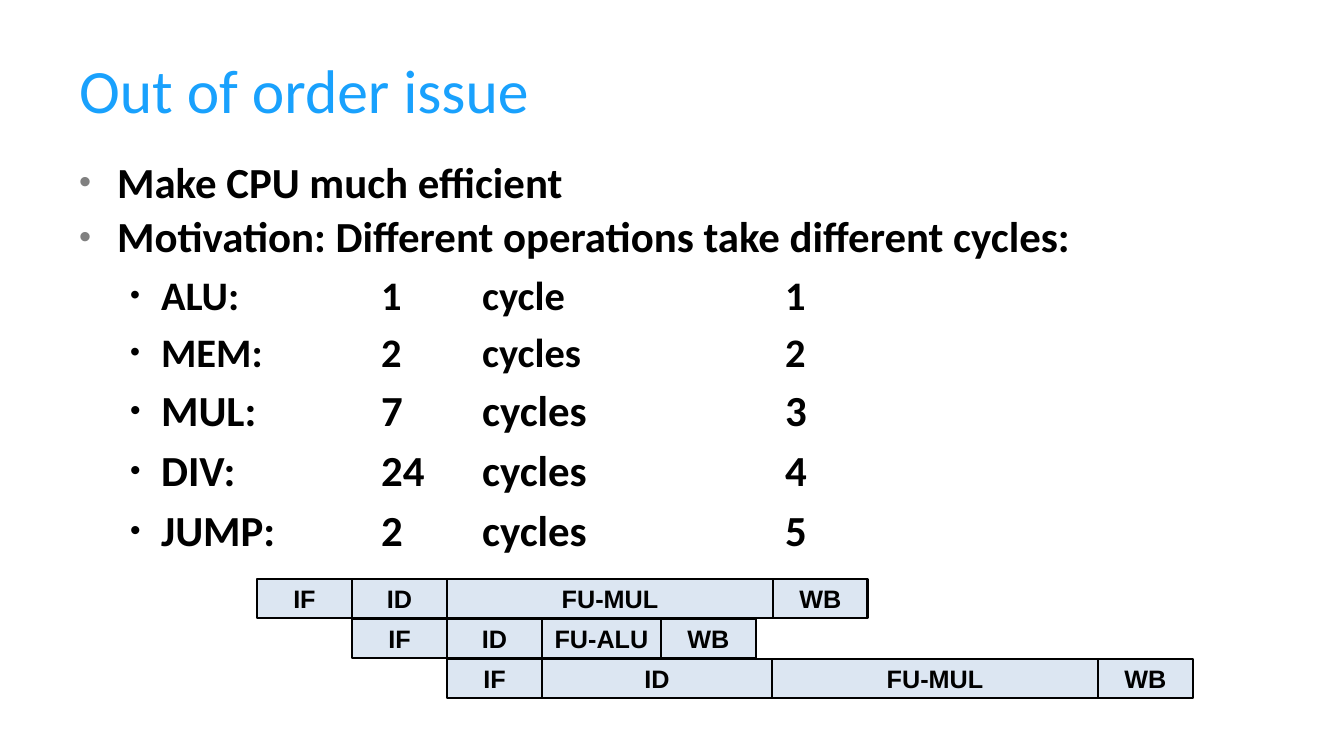
from lxml.etree import SubElement as Sub
from pptx import Presentation
from pptx.dml.color import RGBColor as RGB
from pptx.enum.shapes import MSO_SHAPE as Shape
from pptx.enum.text import MSO_ANCHOR as Anchor, MSO_AUTO_SIZE as Fit, PP_ALIGN as Align
from pptx.oxml.ns import qn
from pptx.util import Pt

PX = 914400 / 100.8
THEME = {
    "title": {"name": "Calibri", "size": Pt(44), "bold": False, "color": "19A1FD"},
    "list": {"name": "Calibri", "size": Pt(30.6), "bold": True, "color": "000000"},
    "small": {"name": "Calibri", "size": Pt(28.9), "bold": True, "color": "000000"},
    "stage": {"name": "Arial", "size": Pt(18), "bold": True, "color": "000000"},
    "fill": "DCE6F2",
    "line": "000000",
    "dots": ("808080", "000000"),
}
STOPS = (302, 403, 706)


def style(para, kind):
    """Apply one of the theme's type styles to a paragraph."""
    for key, val in THEME[kind].items():
        if key == "color":
            para.font.color.rgb = RGB.from_string(val)
        else:
            setattr(para.font, key, val)


def bullet(para, indent, hang, size, color):
    """Set a round bullet; indent and hang are in px, size in percent."""
    props = para._p.get_or_add_pPr()
    props.set("marL", str(round(indent * PX)))
    props.set("indent", str(round(-hang * PX)))
    Sub(Sub(props, qn("a:buClr")), qn("a:srgbClr"), val=color)
    Sub(props, qn("a:buSzPct"), val=str(size * 1000))
    Sub(props, qn("a:buFont"), typeface="Arial")
    Sub(props, qn("a:buChar"), char="•")
    return props


deck = Presentation()
deck.slide_width, deck.slide_height = round(1344 * PX), round(756 * PX)
slide = deck.slides.add_slide(deck.slide_layouts[1])
title, body = slide.placeholders

# Title and list frames
frames = (
    (title, (69, 36, 1030, 105), Anchor.MIDDLE),
    (body, (69, 156, 1050, 405), Anchor.TOP),
)
for item, box, anchor in frames:
    item.left, item.top, item.width, item.height = (round(n * PX) for n in box)
    frame = item.text_frame
    frame.auto_size, frame.vertical_anchor = Fit.NONE, anchor

title.text = "Out of order issue"
head = title.text_frame.paragraphs[0]
head.alignment = Align.LEFT
style(head, "title")

# List: level, type style, text
items = (
    (0, "list", "Make CPU much efficient"),
    (0, "list", "Motivation: Different operations take different cycles:"),
    (1, "small", "ALU:\t1\tcycle\t1"),
    (1, "small", "MEM:\t2\tcycles\t2"),
    (1, "list", "MUL:\t7\tcycles\t3"),
    (1, "list", "DIV:\t24\tcycles\t4"),
    (1, "list", "JUMP:\t2\tcycles\t5"),
)
body.text = "\n".join(text for _, _, text in items)
for para, (level, kind, _) in zip(body.text_frame.paragraphs, items):
    para.level = level
    color = THEME["dots"][level]
    if level:
        props = bullet(para, 82, 31, 70, color)
        tabs = Sub(props, qn("a:tabLst"))
        for stop in STOPS:
            Sub(tabs, qn("a:tab"), pos=str(round(stop * PX)), algn="l")
    else:
        bullet(para, 38, 38, 80, color)
        para.line_spacing = 0.9
    style(para, kind)
body.text_frame.paragraphs[0].space_before = Pt(0)

# Pipeline: each instruction starts one stage later than the one above
LEFT, TOP, STAGE, HIGH, PITCH, MUL = 257, 579, 95, 39, 40, 326
rows = (
    (("IF", STAGE), ("ID", STAGE), ("FU-MUL", MUL), ("WB", STAGE)),
    (("IF", STAGE), ("ID", STAGE), ("FU-ALU", 119), ("WB", STAGE)),
    (("IF", STAGE), ("ID", 230), ("FU-MUL", MUL), ("WB", STAGE)),
)
for step, row in enumerate(rows):
    left = LEFT + step * STAGE
    for text, wide in row:
        box = (left, TOP + step * PITCH, wide, HIGH)
        cell = slide.shapes.add_shape(Shape.RECTANGLE, *(round(n * PX) for n in box))
        cell.shadow.inherit = False
        cell.fill.solid()
        cell.fill.fore_color.rgb = RGB.from_string(THEME["fill"])
        cell.line.color.rgb = RGB.from_string(THEME["line"])
        cell.line.width = Pt(2)
        frame = cell.text_frame
        frame.text, frame.word_wrap = text, False
        frame.vertical_anchor = Anchor.MIDDLE
        para = frame.paragraphs[0]
        para.alignment = Align.CENTER
        style(para, "stage")
        left += wide

deck.save("out.pptx")
